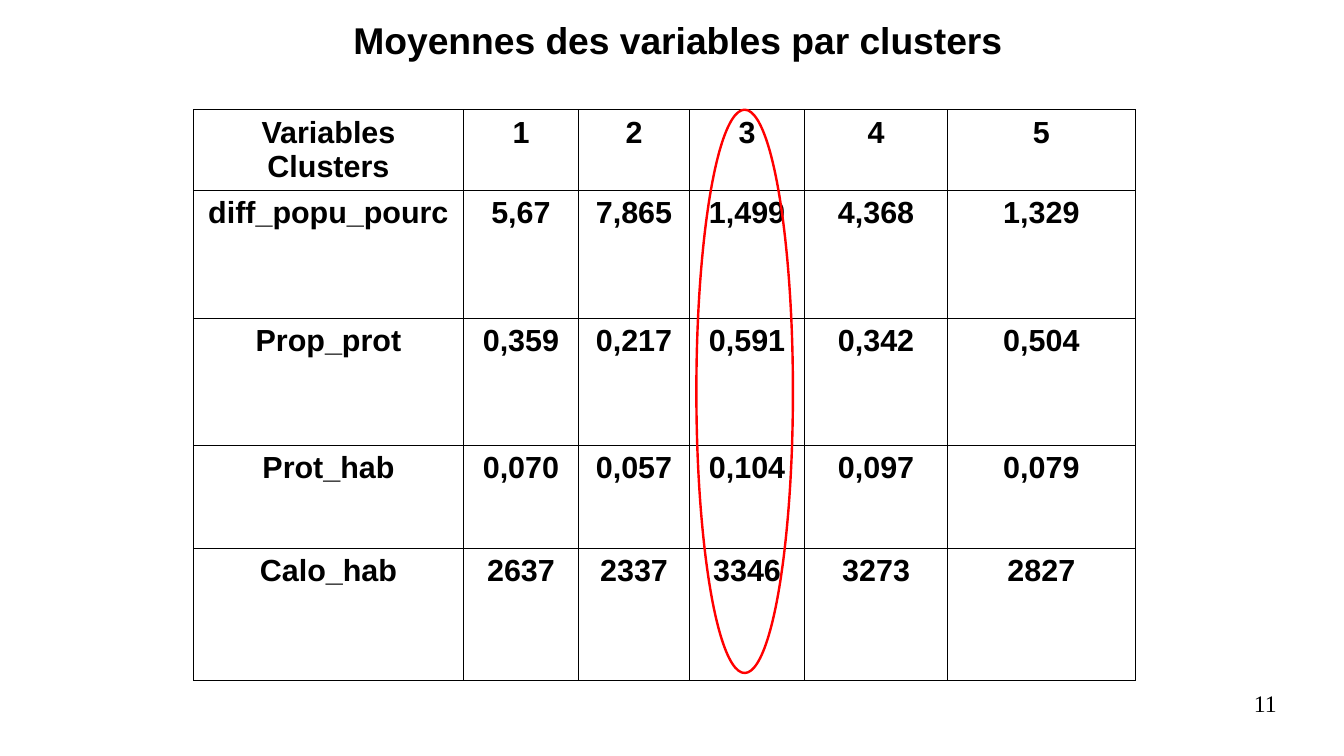
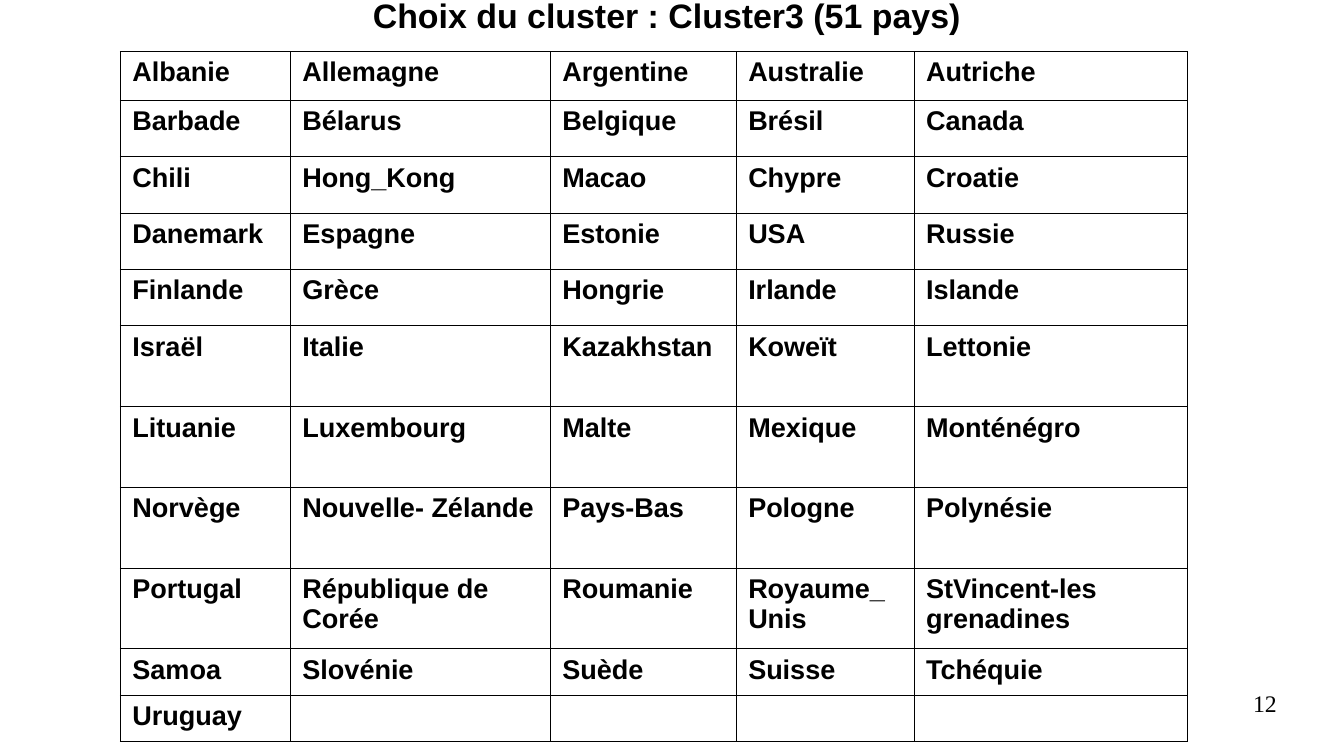
from dataclasses import dataclass
from lxml.etree import SubElement
from pptx import Presentation
from pptx.dml.color import RGBColor
from pptx.enum.shapes import MSO_SHAPE
from pptx.enum.text import MSO_ANCHOR, MSO_AUTO_SIZE, PP_ALIGN
from pptx.oxml.ns import qn
from pptx.util import Pt


@dataclass(frozen=True)
class Theme:
    ink: str = "000000"
    paper: str = "FFFFFF"
    accent: str = "FF0000"
    sans: str = "Arial"
    serif: str = "Times New Roman"
    title: float = 22
    tight: float = 20
    means: float = 18
    list: float = 16
    page: float = 14
    rule: float = 0.57
    ring: float = 1.42


LOOK = Theme()
WIDE, HIGH = 793.44, 446.4

MEANS = [
    ["Variables\nClusters", "1", "2", "3", "4", "5"],
    ["diff_popu_pourc", "5,67", "7,865", "1,499", "4,368", "1,329"],
    ["Prop_prot", "0,359", "0,217", "0,591", "0,342", "0,504"],
    ["Prot_hab", "0,070", "0,057", "0,104", "0,097", "0,079"],
    ["Calo_hab", "2637", "2337", "3346", "3273", "2827"],
]
LANDS = [
    ["Albanie", "Allemagne", "Argentine", "Australie", "Autriche"],
    ["Barbade", "Bélarus", "Belgique", "Brésil", "Canada"],
    ["Chili", "Hong_Kong", "Macao", "Chypre", "Croatie"],
    ["Danemark", "Espagne", "Estonie", "USA", "Russie"],
    ["Finlande", "Grèce", "Hongrie", "Irlande", "Islande"],
    ["Israël", "Italie", "Kazakhstan", "Koweït", "Lettonie"],
    ["Lituanie", "Luxembourg", "Malte", "Mexique", "Monténégro"],
    ["Norvège", "Nouvelle- Zélande", "Pays-Bas", "Pologne", "Polynésie"],
    ["Portugal", "République de Corée", "Roumanie", "Royaume_Unis",
     "StVincent-les grenadines"],
    ["Samoa", "Slovénie", "Suède", "Suisse", "Tchéquie"],
    ["Uruguay", "", "", "", ""],
]


def color(code):
    return RGBColor.from_string(code)


def put(frame, text, size, font=LOOK.sans, bold=True, align=PP_ALIGN.LEFT):
    for num, line in enumerate(text.split("\n")):
        para = frame.paragraphs[0] if num == 0 else frame.add_paragraph()
        para.alignment = align
        run = para.add_run()
        run.text = line
        run.font.name = font
        run.font.size = Pt(size)
        run.font.bold = bold
        run.font.color.rgb = color(LOOK.ink)


def bare(frame, anchor):
    frame.word_wrap = True
    frame.auto_size = MSO_AUTO_SIZE.NONE
    frame.vertical_anchor = anchor
    frame.margin_left = frame.margin_right = 0
    frame.margin_top = frame.margin_bottom = 0


def head(slide, box, text, size):
    title = slide.shapes.title
    title.left, title.top, title.width, title.height = map(Pt, box)
    bare(title.text_frame, MSO_ANCHOR.MIDDLE)
    put(title.text_frame, text, size, align=PP_ALIGN.CENTER)


def page(slide, box, text):
    frame = slide.shapes.add_textbox(*map(Pt, box)).text_frame
    bare(frame, MSO_ANCHOR.TOP)
    put(frame, text, LOOK.page, font=LOOK.serif, bold=False,
        align=PP_ALIGN.RIGHT)


def edge(cell):
    props = cell._tc.get_or_add_tcPr()
    for side in ("lnL", "lnR", "lnT", "lnB"):
        line = SubElement(props, qn("a:" + side), w=str(int(Pt(LOOK.rule))))
        fill = SubElement(line, qn("a:solidFill"))
        SubElement(fill, qn("a:srgbClr"), val=LOOK.ink)


def grid(slide, left, top, cols, rows, data, **form):
    box = map(Pt, (left, top, sum(cols), sum(rows)))
    table = slide.shapes.add_table(len(rows), len(cols), *box).table
    table.first_row = table.horz_banding = False
    for col, width in zip(table.columns, cols):
        col.width = Pt(width)
    for row, height, texts in zip(table.rows, rows, data):
        row.height = Pt(height)
        for cell, text in zip(row.cells, texts):
            edge(cell)
            cell.fill.solid()
            cell.fill.fore_color.rgb = color(LOOK.paper)
            put(cell.text_frame, text, **form)


def ring(slide, box):
    oval = slide.shapes.add_shape(MSO_SHAPE.OVAL, *map(Pt, box))
    oval.shadow.inherit = False
    oval.fill.background()
    oval.line.color.rgb = color(LOOK.accent)
    oval.line.width = Pt(LOOK.ring)


def base(deck, box, text, size, num):
    slide = deck.slides.add_slide(deck.slide_layouts[5])
    head(slide, box, text, size)
    page(slide, (568.8, 406.8, 185, 31), num)
    return slide


def means(deck):
    slide = base(deck, (43.2, -14.4, 714.2, 75),
                 "Moyennes des variables par clusters", LOOK.title, "11")
    left, top = 114.3, 64.8
    cols = [159.3, 68, 65.5, 68, 84.4, 110.8]
    rows = [47.2, 75.5, 75, 60.8, 78.5]
    grid(slide, left, top, cols, rows, MEANS,
         size=LOOK.means, align=PP_ALIGN.CENTER)
    ring(slide, (left + sum(cols[:3]) + 4, top, 57, 332.6))


def lands(deck):
    slide = base(deck, (36.7, -14.4, 714.2, 46),
                 "Choix du cluster : Cluster3 (51 pays)", LOOK.tight, "12")
    rows = [28.9] + [33.3] * 4 + [47.7] * 4 + [27.4] * 2
    grid(slide, 71, 30.4, [100.4, 153.4, 109.8, 105, 161.2], rows, LANDS,
         size=LOOK.list)


def main():
    deck = Presentation()
    deck.slide_width, deck.slide_height = Pt(WIDE), Pt(HIGH)
    means(deck)
    lands(deck)
    deck.save("out.pptx")


if __name__ == "__main__":
    main()
